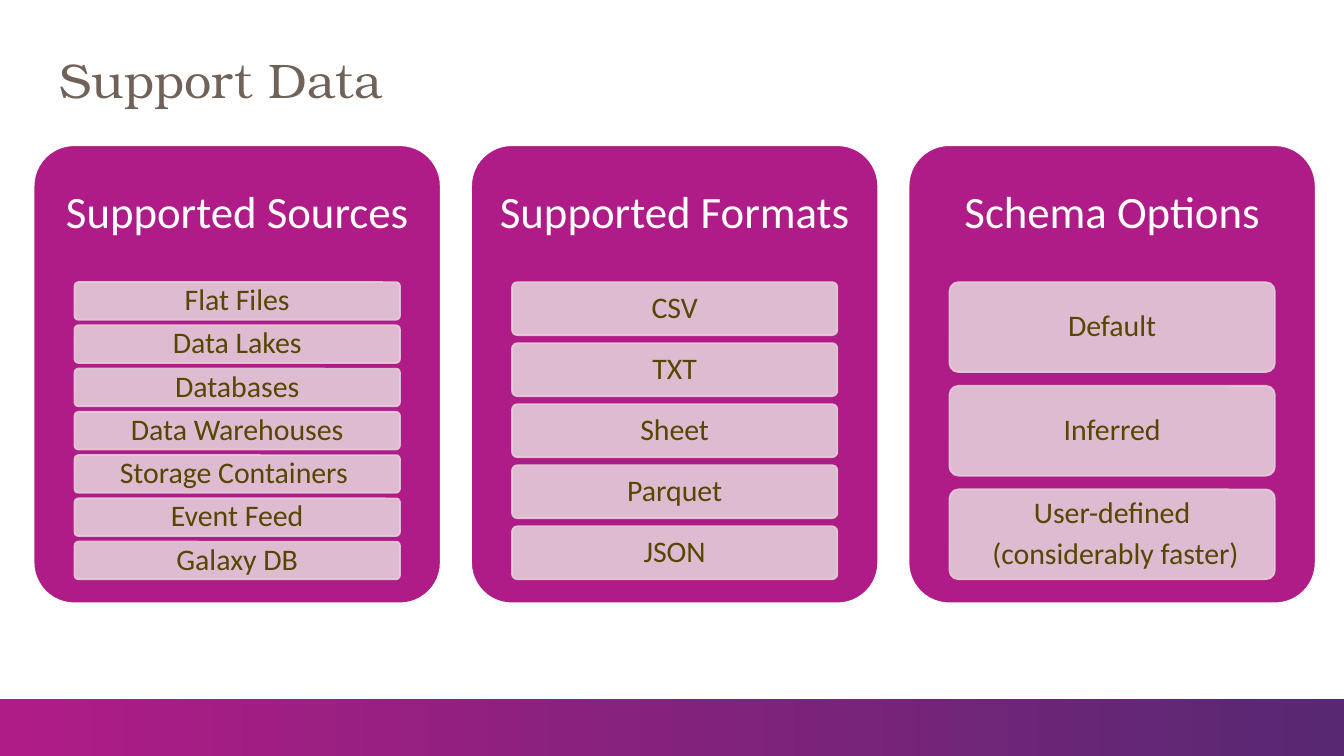
from dataclasses import dataclass

from pptx import Presentation
from pptx.dml.color import RGBColor
from pptx.enum.shapes import MSO_SHAPE
from pptx.enum.text import MSO_ANCHOR, MSO_AUTO_SIZE, PP_ALIGN
from pptx.oxml.ns import qn
from pptx.util import Inches, Pt

RECTANGLE = MSO_SHAPE.RECTANGLE
ROUNDED = MSO_SHAPE.ROUNDED_RECTANGLE
MIDDLE = MSO_ANCHOR.MIDDLE
NO_AUTOFIT = MSO_AUTO_SIZE.NONE
LEFT, CENTER = PP_ALIGN.LEFT, PP_ALIGN.CENTER


@dataclass(frozen=True)
class Theme:
    magenta: RGBColor = RGBColor.from_string("B01C87")
    purple: RGBColor = RGBColor.from_string("582873")
    pink: RGBColor = RGBColor.from_string("E4CDD9")
    white: RGBColor = RGBColor.from_string("FFFFFF")
    title_ink: RGBColor = RGBColor.from_string("706259")
    item_ink: RGBColor = RGBColor.from_string("554700")
    title_font: str = "TeX Gyre Bonum"
    body_font: str = "Calibri"
    title_size: int = 26
    heading_size: int = 24
    item_size: int = 16


theme = Theme()


def write(shape, lines, font, size, color, align=CENTER, margins=(0.1, 0.1), after=0):
    frame = shape.text_frame
    side, top = (Inches(margin) for margin in margins)
    frame_format = {
        "word_wrap": True, "auto_size": NO_AUTOFIT, "vertical_anchor": MIDDLE,
        "margin_left": side, "margin_right": side,
        "margin_top": top, "margin_bottom": top,
    }
    for name, value in frame_format.items():
        setattr(frame, name, value)
    frame.text = "\n".join(lines)
    for para in frame.paragraphs:
        para.alignment = align
        para.line_spacing = 0.9
        para.space_after = Pt(after)
        span = para.runs[0]
        span.font.name = font
        span.font.size = Pt(size)
        span.font.color.rgb = color


def add_rounded(left, top, width, height, fill, line, opacity=100):
    shape = page.shapes.add_shape(
        ROUNDED, Inches(left), Inches(top), Inches(width), Inches(height))
    shape.shadow.inherit = False
    shape.adjustments[0] = 0.1
    shape.fill.solid()
    shape.fill.fore_color.rgb = fill
    shape.line.color.rgb = line
    shape.line.width = Pt(1)
    if opacity < 100:
        for color in shape._element.spPr.iter(qn("a:srgbClr")):
            alpha = color.makeelement(qn("a:alpha"), {"val": str(opacity * 1000)})
            color.append(alpha)
    return shape


deck = Presentation()
deck.slide_width = Inches(10)
deck.slide_height = Inches(10 * 9 / 16)
page = deck.slides.add_slide(deck.slide_layouts[5])

# Footer band, down to the bottom edge
band_top = Inches(5.2)
band = page.shapes.add_shape(
    RECTANGLE, 0, band_top, deck.slide_width, deck.slide_height - band_top)
band.shadow.inherit = False
band.line.fill.background()
band.fill.gradient()
band.fill.gradient_angle = 0
for stop, color, position in zip(
        band.fill.gradient_stops, (theme.magenta, theme.purple), (0, 1)):
    stop.color.rgb = color
    stop.position = position

# Title
title = page.shapes.title
title.left, title.top = Inches(0.34), Inches(0.24)
title.width, title.height = Inches(9.53), Inches(0.75)
write(title, ["Support Data"], theme.title_font, theme.title_size,
      theme.title_ink, LEFT, (0.1, 0.05))

# Cards: each list of items fills the same height
columns = {
    "Supported Sources": [
        ["Flat Files"], ["Data Lakes"], ["Databases"], ["Data Warehouses"],
        ["Storage Containers "], ["Event Feed"], ["Galaxy DB"],
    ],
    "Supported Formats": [["CSV"], ["TXT"], ["Sheet"], ["Parquet"], ["JSON"]],
    "Schema Options": [
        ["Default"], ["Inferred"], ["User-defined", " (considerably faster)"],
    ],
}
CARD_TOP, CARD_WIDTH, CARD_HEIGHT = 1.08, 3.03, 3.41
FIRST_LEFT, LAST_LEFT = 0.25, 6.76
CARD_PITCH = (LAST_LEFT - FIRST_LEFT) / (len(columns) - 1)
ITEMS_TOP, ITEMS_HEIGHT, ITEM_WIDTH = 2.1, 2.21, 2.42
GAP_RATIO = 2 / 13  # gap between items, as a share of the item height

for column, (heading, items) in enumerate(columns.items()):
    left = FIRST_LEFT + column * CARD_PITCH
    add_rounded(left, CARD_TOP, CARD_WIDTH, CARD_HEIGHT, theme.magenta, theme.white)

    heading_box = page.shapes.add_textbox(
        Inches(left + 0.03), Inches(1.11), Inches(2.97), Inches(0.96))
    write(heading_box, [heading], theme.body_font, theme.heading_size, theme.white)

    item_left = left + (CARD_WIDTH - ITEM_WIDTH) / 2
    item_height = ITEMS_HEIGHT / (len(items) + (len(items) - 1) * GAP_RATIO)
    for row, lines in enumerate(items):
        item_top = ITEMS_TOP + row * item_height * (1 + GAP_RATIO)
        item = add_rounded(item_left, item_top, ITEM_WIDTH, item_height,
                           theme.pink, theme.pink, opacity=90)
        write(item, lines, theme.body_font, theme.item_size, theme.item_ink,
              margins=(0.04, 0.03), after=5)

deck.save("out.pptx")
